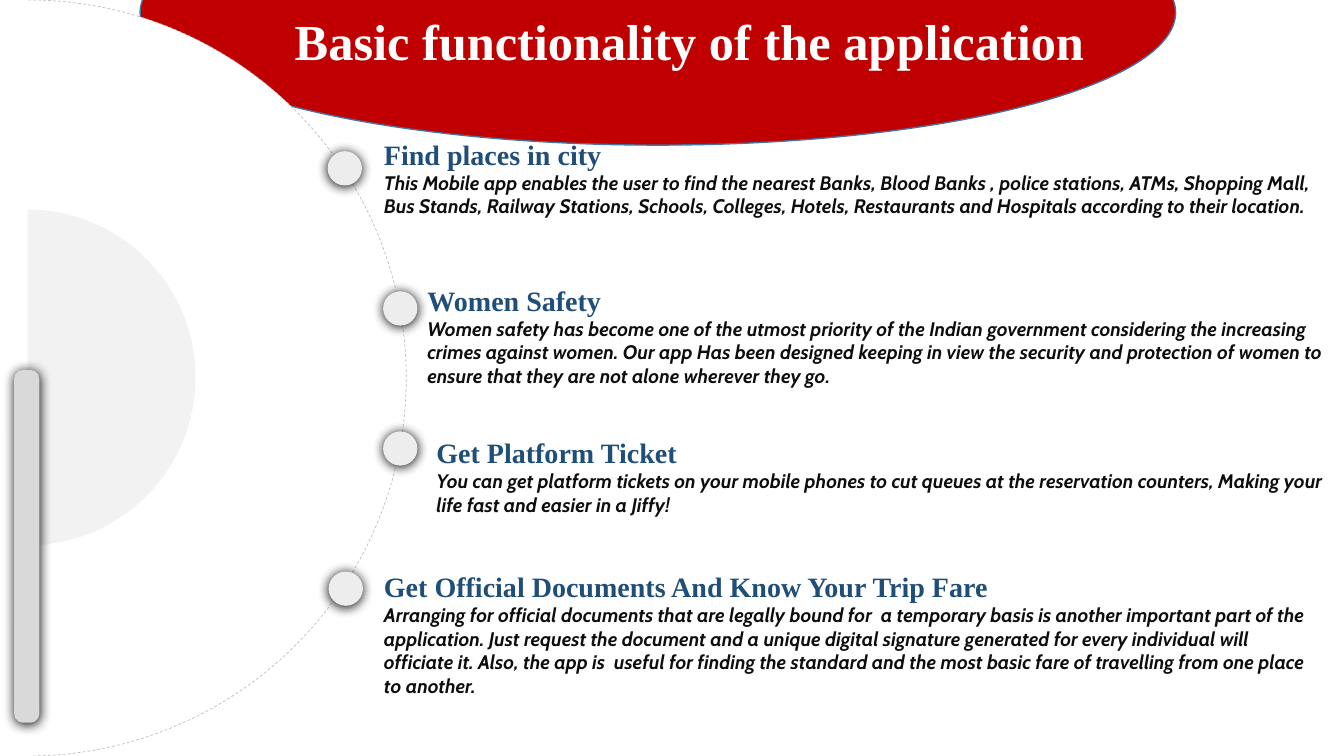
import pptx
import pptx.util
import pptx.dml.color
import pptx.enum.dml
import pptx.enum.shapes
import pptx.enum.text
import pptx.oxml
import pptx.oxml.ns

Inches, Pt = pptx.util.Inches, pptx.util.Pt
RGB = pptx.dml.color.RGBColor.from_string
MSO = pptx.enum.shapes.MSO_SHAPE
COLORS = {
    "banner": "C00000", "banner_line": "43739E", "white": "FFFFFF",
    "arc_line": "BFBFBF", "heading": "1F4E79", "body": "0D0D0D",
    "dot": "EDEDED", "half_disc": "F2F2F2", "bar": "D9D9D9",
}
SHADOW = (
    '<a:outerShdw %s blurRad="107950" dist="12700" dir="5400000" rotWithShape="0">'
    '<a:srgbClr val="000000"/></a:outerShdw>' % pptx.oxml.ns.nsdecls("a")
)

prs = pptx.Presentation()
prs.slide_width = Inches(13.33)
prs.slide_height = Inches(7.5)
s = prs.slides.add_slide(prs.slide_layouts[6])


def add_shape(kind, box, fill, line=None, width=1, shadow=False):
    sp = s.shapes.add_shape(kind, *[Inches(v) for v in box])
    sp.fill.solid()
    sp.fill.fore_color.rgb = RGB(COLORS[fill])
    if line:
        sp.line.color.rgb = RGB(COLORS[line])
        sp.line.width = Pt(width)
    else:
        sp.line.fill.background()
    sp.shadow.inherit = False
    if shadow:
        effects = sp._element.spPr.find(pptx.oxml.ns.qn("a:effectLst"))
        effects.append(pptx.oxml.parse_xml(SHADOW))
    return sp


def add_run(p, text, font, size, color, italic=None):
    r = p.add_run()
    r.text = text
    r.font.name = font
    r.font.size = Pt(size)
    r.font.color.rgb = RGB(COLORS[color])
    r.font.bold = True
    r.font.italic = italic


add_shape(MSO.OVAL, (1.39, -1.19, 10.27, 2.63), "banner", "banner_line")

title = s.shapes.add_textbox(Inches(2.7), Inches(0.05), Inches(8.28), Inches(0.71))
tf = title.text_frame
tf.word_wrap = False
tf.auto_size = pptx.enum.text.MSO_AUTO_SIZE.SHAPE_TO_FIT_TEXT
p = tf.paragraphs[0]
p.alignment = pptx.enum.text.PP_ALIGN.CENTER
add_run(p, "Basic functionality of the application", "Times New Roman", 36, "white")

big_arc = add_shape(MSO.ARC, (-3.47, 0, 7.5, 7.5), "white", "arc_line", 0.5)
big_arc.line.dash_style = pptx.enum.dml.MSO_LINE.DASH
half_disc = add_shape(MSO.ARC, (-1.39, 2.08, 3.33, 3.33), "half_disc")
for arc, end in ((big_arc, 53.71), (half_disc, 53.6)):
    arc.adjustments[0] = 162
    arc.adjustments[1] = end

bar = add_shape(MSO.ROUNDED_RECTANGLE, (0.14, 3.67, 0.25, 3.5), "bar", shadow=True)
bar.adjustments[0] = 0.35
bar.rotation = 180

features = [
    (3.25, (3.71, 1.31, 9.51, 0.91), "Find places in city",
     "This Mobile app enables the user to find the nearest Banks, Blood Banks , police stations, "
     "ATMs, Shopping Mall, Bus Stands, Railway Stations, Schools, Colleges, Hotels, Restaurants "
     "and Hospitals according to their location."),
    (3.8, (4.14, 2.76, 9.39, 1.14), "Women Safety",
     "Women safety has become one of the utmost priority of the Indian government considering "
     "the increasing crimes against women. Our app Has been designed keeping in view the security "
     "and protection of women to ensure that they are not alone wherever they go."),
    (3.8, (4.23, 4.27, 9.2, 1.25), "Get Platform Ticket",
     "You can get platform tickets on your mobile phones to cut queues at the reservation "
     "counters, Making your life fast and easier in a Jiffy!"),
    (3.26, (3.71, 5.6, 9.39, 1.62), "Get Official Documents And Know Your Trip Fare",
     "Arranging for official documents that are legally bound for  a temporary basis is another "
     "important part of the application. Just request the document and a unique digital signature "
     "generated for every individual will officiate it. Also, the app is  useful for finding the "
     "standard and the most basic fare of travelling from one place to another."),
]
for i, (dot_left, box, heading, body) in enumerate(features):
    add_shape(MSO.OVAL, (dot_left, 1.5 + 1.39 * i, 0.34, 0.34), "dot", shadow=True)
    tf = s.shapes.add_textbox(*[Inches(v) for v in box]).text_frame
    tf.word_wrap = True
    tf.auto_size = pptx.enum.text.MSO_AUTO_SIZE.SHAPE_TO_FIT_TEXT
    add_run(tf.paragraphs[0], heading, "Times New Roman", 20, "heading")
    add_run(tf.add_paragraph(), body, "Cabin", 14, "body", italic=True)

prs.save("out.pptx")
